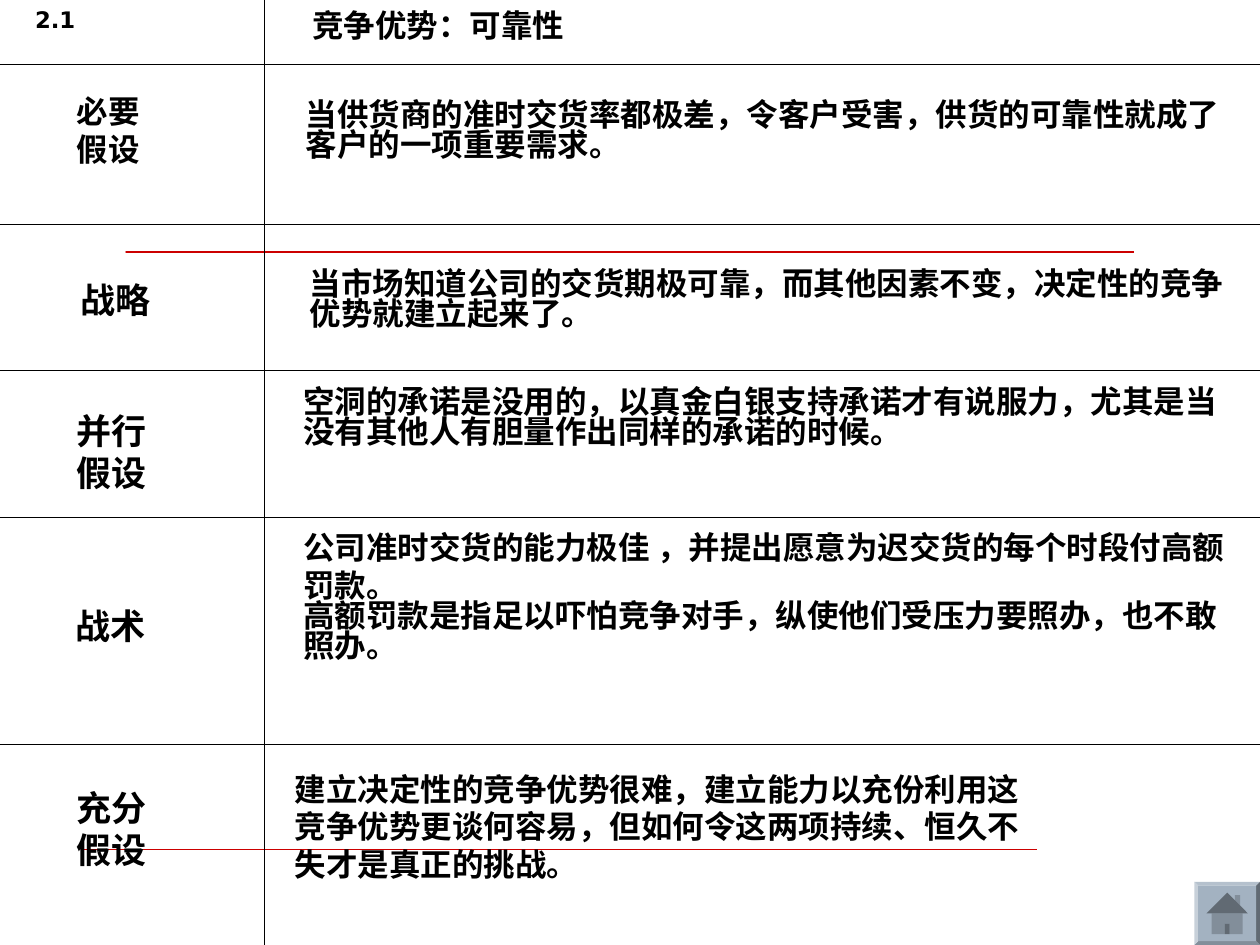
import pptx
import pptx.dml.color
import pptx.enum.shapes
import pptx.enum.text
import pptx.oxml
import pptx.util
from pptx.util import Inches

COLORS = {"text": "000000", "rule": "000000", "accent": "CC0000", "button": "A3B2C1"}
FONT = "DejaVu Sans"
SHAPES = pptx.enum.shapes.MSO_SHAPE


def fill_text(box, paragraphs, size, spacings, wrap=True):
    frame = box.text_frame
    settings = {
        "word_wrap": wrap,
        "auto_size": pptx.enum.text.MSO_AUTO_SIZE.SHAPE_TO_FIT_TEXT,
        "vertical_anchor": pptx.enum.text.MSO_ANCHOR.TOP,
        "margin_left": Inches(0.1),
        "margin_right": Inches(0.1),
        "margin_top": Inches(0.05),
        "margin_bottom": Inches(0.05),
    }
    for name, value in settings.items():
        setattr(frame, name, value)
    for index, (text, spacing) in enumerate(zip(paragraphs, spacings)):
        para = frame.paragraphs[0] if index == 0 else frame.add_paragraph()
        para.alignment = pptx.enum.text.PP_ALIGN.LEFT
        para.line_spacing = spacing
        span = para.add_run()
        span.text = text
        for name, value in {"name": FONT, "size": pptx.util.Pt(size), "bold": True}.items():
            setattr(span.font, name, value)
        span.font.color.rgb = pptx.dml.color.RGBColor.from_string(COLORS["text"])


def add_rule(start, end, color="rule", width=0.75):
    rule = page.shapes.add_connector(
        pptx.enum.shapes.MSO_CONNECTOR.STRAIGHT, *map(Inches, start + end))
    rule.line.color.rgb = pptx.dml.color.RGBColor.from_string(COLORS[color])
    rule.line.width = pptx.util.Pt(width)
    properties = rule.element.spPr
    properties.append(properties.makeelement(pptx.oxml.ns.qn("a:effectLst"), {}))


deck = pptx.Presentation()
deck.slide_width, deck.slide_height = Inches(10), Inches(7.5)
page = deck.slides.add_slide(deck.slide_layouts[5])

# Red bar whose top edge runs on as a thin line
outline = page.shapes.build_freeform(0.67, 1.71, scale=Inches(1))
outline.add_line_segments([(5.76, 1.71), (5.76, 1.83), (0.67, 1.83)], close=True)
outline.move_to(0.67, 1.71)
outline.add_line_segments([(9.37, 1.71)], close=False)
bar = outline.convert_to_shape()
bar.shadow.inherit = False
bar.fill.solid()
bar.line.width = pptx.util.Pt(0.75)
for paint in (bar.fill.fore_color, bar.line.color):
    paint.rgb = pptx.dml.color.RGBColor.from_string(COLORS["accent"])
add_rule((0.67, 6.74), (8.23, 6.74), "accent", 0.25)

# Grid
for y in (0.51, 1.78, 2.94, 4.11, 5.91):
    add_rule((0, y), (10, y))
add_rule((2.1, 0), (2.1, 7.5))

# Heading, wide enough for one line
title = page.shapes.title
title.left, title.top, title.width, title.height = map(Inches, (2.38, 0, 2.6, 0.4))
fill_text(title, ["竞争优势：可靠性"], 18, [1])

# Row labels and row texts: place, size, paragraphs, line spacings
texts = [
    ((0.18, 0, 1.04, 0.32), 13, ["2.1"], [1]),
    ((0.51, 0.68, 0.82, 0.7), 18, ["必要假设"], [1]),
    ((2.33, 0.76, 7.63, 0.58), 18,
     ["当供货商的准时交货率都极差，令客户受害，供货的可靠性就成了客户的一项重要需求。"], [0.8]),
    ((0.54, 2.16, 0.82, 0.43), 20, ["战略"], [1]),
    ((2.36, 2.1, 7.6, 0.58), 18,
     ["当市场知道公司的交货期极可靠，而其他因素不变，决定性的竞争优势就建立起来了。"], [0.8]),
    ((0.51, 3.2, 1.1, 0.77), 20, ["并行", "假设"], [1, 1]),
    ((2.31, 3.04, 7.69, 0.58), 18,
     ["空洞的承诺是没用的，以真金白银支持承诺才有说服力，尤其是当没有其他人有胆量作出同样的承诺的时候。"],
     [0.8]),
    ((0.5, 4.75, 0.82, 0.43), 20, ["战术"], [1]),
    ((2.31, 4.14, 7.69, 1.18), 18,
     ["公司准时交货的能力极佳 ，并提出愿意为迟交货的每个时段付高额罚款。",
      "高额罚款是指足以吓怕竞争对手，纵使他们受压力要照办，也不敢照办。"], [1, 0.8]),
    ((0.51, 6.19, 0.82, 0.77), 20, ["充分假设"], [1]),
    ((2.24, 6.06, 5.98, 1), 18,
     ["建立决定性的竞争优势很难，建立能力以充份利用这竞争优势更谈何容易，但如何令这两项持续、恒久不失才是真正的挑战。"],
     [1]),
]
for place, size, paragraphs, spacings in texts:
    box = page.shapes.add_textbox(*map(Inches, place))
    fill_text(box, paragraphs, size, spacings)

# Home button inside a bevelled edge
buttons = [
    (SHAPES.BEVEL, (9.48, 7, 0.52, 0.5)),
    (SHAPES.ACTION_BUTTON_HOME, (9.51, 7.03, 0.46, 0.44)),
]
for kind, place in buttons:
    button = page.shapes.add_shape(kind, *map(Inches, place))
    if kind == SHAPES.BEVEL:
        button.adjustments[0] = 0.06
    button.shadow.inherit = False
    button.fill.solid()
    button.fill.fore_color.rgb = pptx.dml.color.RGBColor.from_string(COLORS["button"])
    button.line.fill.background()

deck.save("out.pptx")
